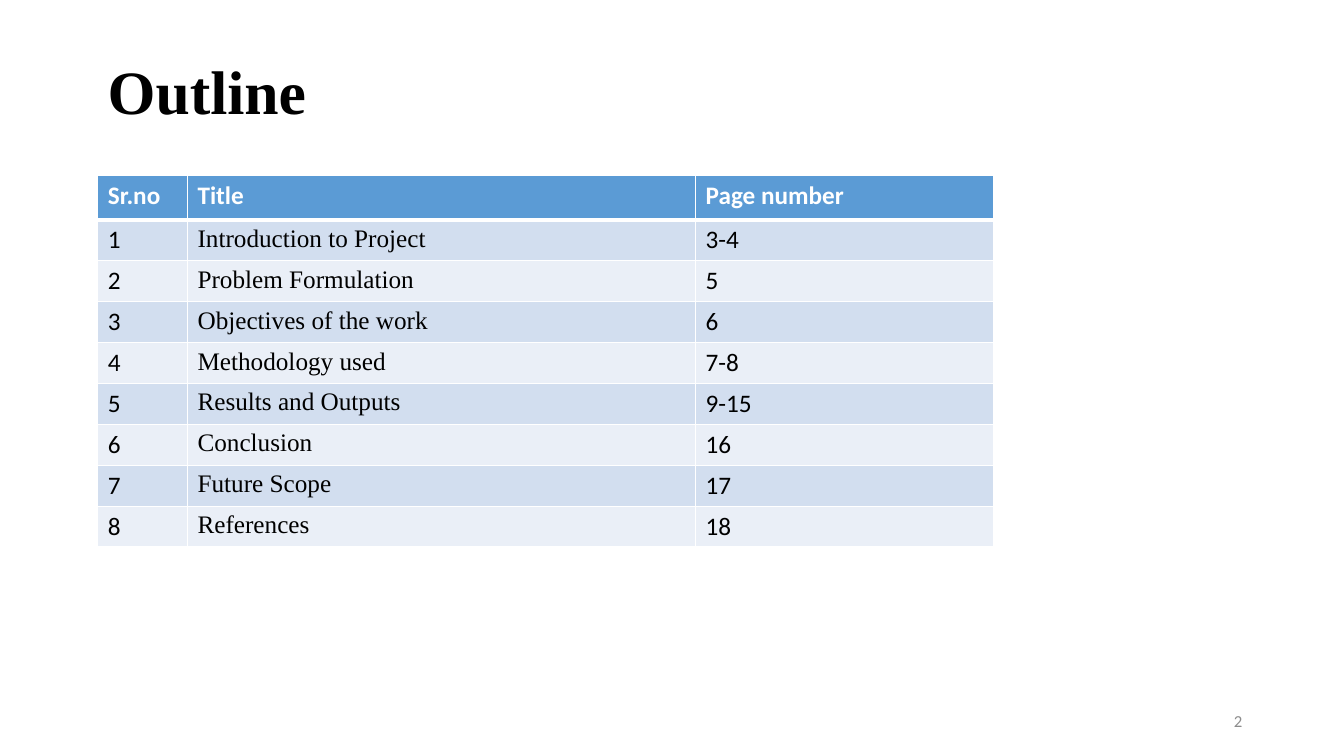
from lxml import etree
from pptx import Presentation
from pptx.dml.color import RGBColor
from pptx.enum import text
from pptx.oxml.ns import qn
from pptx.util import Inches, Pt

SERIF, SANS = "Times New Roman", "Calibri"
WHITE, BLACK, GREY = "FFFFFF", "000000", "8C8C8C"
HEADER_BLUE, BANDS = "5B9BD5", ("D2DEEF", "EAEFF7")

HEADINGS = ("Sr.no", "Title", "Page number")
SECTIONS = (
    ("Introduction to Project", "3-4"),
    ("Problem Formulation", "5"),
    ("Objectives of the work", "6"),
    ("Methodology used", "7-8"),
    ("Results and Outputs", "9-15"),
    ("Conclusion", "16"),
    ("Future Scope", "17"),
    ("References", "18"),
)
COLUMN_WIDTHS = (0.89, 5.04, 2.96)
HEADER_HEIGHT = 0.44


def color(hex_code):
    return RGBColor.from_string(hex_code)


def write(frame, words, size, face, ink, bold=False):
    """Fill a text frame with one formatted paragraph and return it."""
    frame.text = words
    paragraph = frame.paragraphs[0]
    font = paragraph.runs[0].font
    font.size, font.name, font.bold = Pt(size), face, bold
    font.color.rgb = color(ink)
    return paragraph


def add_line_of_text(slide, box, words, size, face, ink, bold=False):
    frame = slide.shapes.add_textbox(*map(Inches, box)).text_frame
    frame.word_wrap = True
    frame.vertical_anchor = text.MSO_ANCHOR.MIDDLE
    return write(frame, words, size, face, ink, bold)


def add_borders(cell, top, bottom):
    """Draw white borders; must run before the cell gets its fill."""
    properties = cell._tc.get_or_add_tcPr()
    for side, points in (("L", 1), ("R", 1), ("T", top), ("B", bottom)):
        line = etree.SubElement(properties, qn(f"a:ln{side}"), w=str(Pt(points)))
        fill = etree.SubElement(line, qn("a:solidFill"))
        etree.SubElement(fill, qn("a:srgbClr"), val=WHITE)


def add_outline_table(slide, box):
    rows = [HEADINGS] + [
        (str(number), *section) for number, section in enumerate(SECTIONS, 1)
    ]
    table = slide.shapes.add_table(
        len(rows), len(HEADINGS), *map(Inches, box)
    ).table
    for column, width in zip(table.columns, COLUMN_WIDTHS):
        column.width = Inches(width)
    section_height = (box[3] - HEADER_HEIGHT) / len(SECTIONS)

    for r, row in enumerate(rows):
        header = r == 0
        table.rows[r].height = Inches(HEADER_HEIGHT if header else section_height)
        for c, words in enumerate(row):
            cell = table.cell(r, c)
            add_borders(cell, top=3 if r == 1 else 1, bottom=3 if header else 1)
            cell.fill.solid()
            cell.fill.fore_color.rgb = color(
                HEADER_BLUE if header else BANDS[(r - 1) % 2]
            )
            face = SERIF if c == 1 and not header else SANS
            write(cell.text_frame, words, 18, face,
                  WHITE if header else BLACK, header)


def add_outline_slide(deck):
    slide = deck.slides.add_slide(deck.slide_layouts[6])
    title = add_line_of_text(
        slide, (0.97, 0.4, 11.5, 1.07), "Outline", 44, SERIF, BLACK, True
    )
    title.line_spacing = 0.9
    page = add_line_of_text(slide, (9.42, 6.95, 3, 0.4), "2", 12, SANS, GREY)
    page.alignment = text.PP_ALIGN.RIGHT
    add_outline_table(slide, (0.97, 1.74, 8.89, 3.69))


def main():
    deck = Presentation()
    deck.slide_width, deck.slide_height = Inches(13.33), Inches(7.5)
    add_outline_slide(deck)
    deck.save("out.pptx")


if __name__ == "__main__":
    main()
